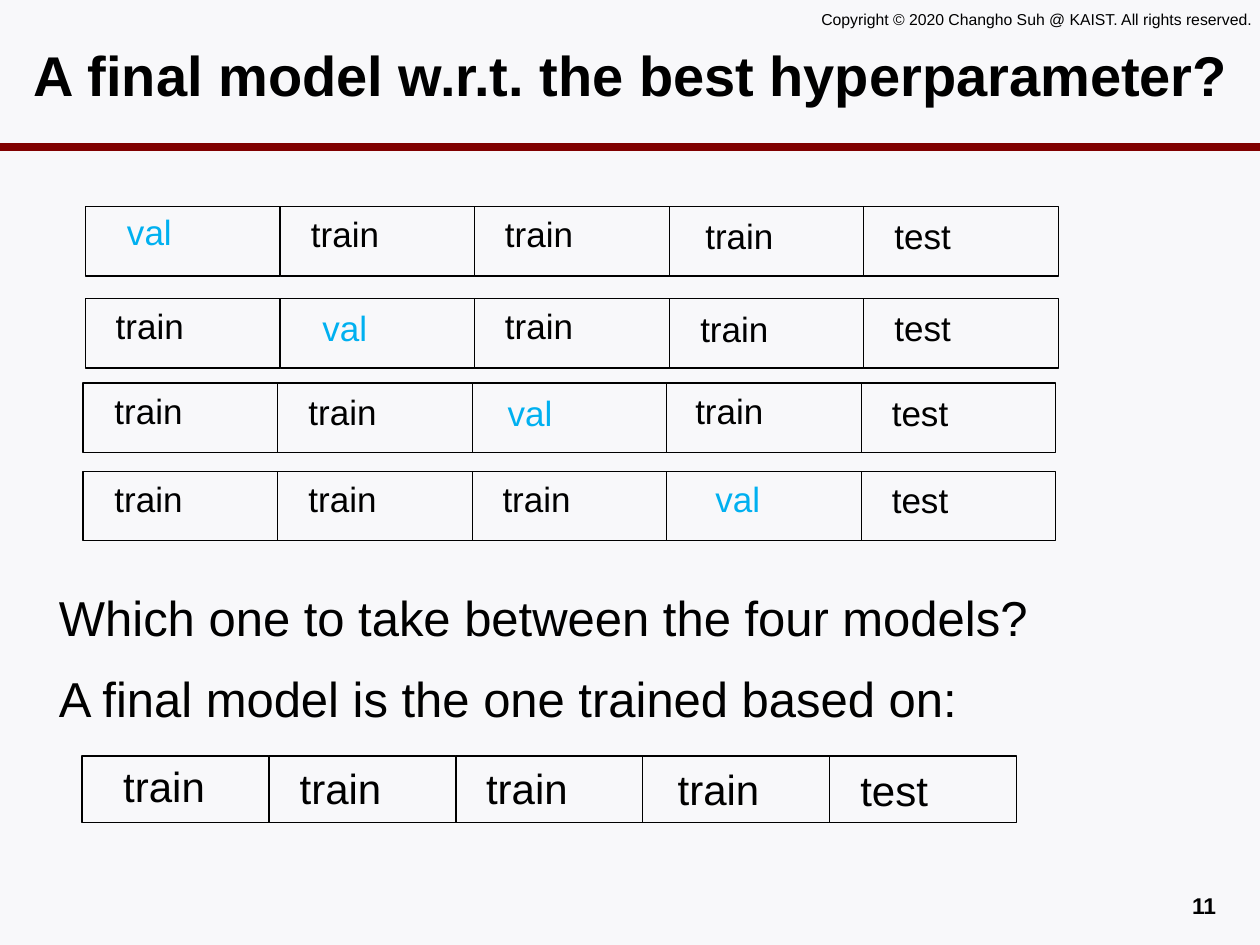
"""Build a slide on choosing the final model after cross-validation."""
from lxml import etree
from pptx import Presentation
from pptx.dml.color import RGBColor
from pptx.enum.shapes import MSO_CONNECTOR, MSO_SHAPE
from pptx.enum.text import MSO_ANCHOR, PP_ALIGN
from pptx.oxml.ns import qn
from pptx.util import Inches, Pt

STRAIGHT = MSO_CONNECTOR.STRAIGHT
RECTANGLE = MSO_SHAPE.RECTANGLE
TOP, MIDDLE = MSO_ANCHOR.TOP, MSO_ANCHOR.MIDDLE
LEFT, RIGHT = PP_ALIGN.LEFT, PP_ALIGN.RIGHT
BLACK, BLUE, MAROON, PALE = "000000", "00B0F0", "800000", "F8F8FA"


def color(value):
    return RGBColor.from_string(value)


def add_text(text, left, top, width, height, size=20, ink=BLACK, bold=False,
             align=LEFT, anchor=TOP, wrap=True):
    box = slide.shapes.add_textbox(Inches(left), Inches(top), Inches(width), Inches(height))
    frame = box.text_frame
    frame.word_wrap = wrap
    frame.vertical_anchor = anchor
    para = frame.paragraphs[0]
    para.alignment = align
    span = para.add_run()
    span.text = text
    span.font.name = "Arial"
    span.font.size = Pt(size)
    span.font.bold = bold
    span.font.color.rgb = color(ink)


deck = Presentation()
deck.slide_width, deck.slide_height = Inches(10), Inches(7.5)
slide = deck.slides.add_slide(deck.slide_layouts[6])
slide.background.fill.solid()
slide.background.fill.fore_color.rgb = color(PALE)

rule = slide.shapes.add_connector(STRAIGHT, Inches(0), Inches(1.17), Inches(10), Inches(1.17))
rule.line.color.rgb = color(MAROON)
rule.line.width = Pt(4.5)
etree.SubElement(rule._element.spPr, qn("a:effectLst"))

add_text("Copyright © 2020 Changho Suh @ KAIST. All rights reserved.",
         6.42, 0.03, 3.73, 0.25, size=9, wrap=False)
add_text("A final model w.r.t. the best hyperparameter?",
         0.17, 0.17, 10.03, 0.83, size=32, bold=True, anchor=MIDDLE)
add_text("Which one to take between the four models?", 0.37, 4.61, 8.53, 0.61, size=28)
add_text("A final model is the one trained based on:", 0.37, 5.26, 8.53, 0.61, size=28)
add_text("11", 7.42, 7.03, 2.33, 0.27, size=13, bold=True, align=RIGHT)

# left, top, cell width, cell height, text size, validation fold, label lefts, label drops
splits = [
    (0.68, 1.64, 1.544, 0.55, 20, 0, (0.91, 2.37, 3.91, 5.5, 7), (-0.02, 0, 0, 0.01, 0.01)),
    (0.68, 2.37, 1.544, 0.55, 20, 1, (0.82, 2.46, 3.91, 5.46, 7), (0, 0.01, 0, 0.02, 0.01)),
    (0.66, 3.04, 1.544, 0.55, 20, 2, (0.81, 2.35, 3.93, 5.42, 6.98), (0, 0.01, 0.02, 0, 0.02)),
    (0.66, 3.74, 1.544, 0.55, 20, 3, (0.81, 2.35, 3.89, 5.58, 6.98), (0, 0, 0, 0, 0.01)),
    (0.65, 6, 1.484, 0.53, 24, None, (0.88, 2.28, 3.76, 5.28, 6.73), (-0.01, 0, 0, 0.01, 0.02)),
]
for left, top, width, height, size, fold, label_lefts, drops in splits:
    for column, (label_left, drop) in enumerate(zip(label_lefts, drops)):
        cell = slide.shapes.add_shape(RECTANGLE, Inches(left + column * width), Inches(top),
                                      Inches(width), Inches(height))
        cell.shadow.inherit = False
        cell.fill.background()
        cell.line.color.rgb = color(BLACK)
        cell.line.width = Pt(0.75)
        label = "val" if column == fold else "test" if column == 4 else "train"
        add_text(label, label_left, top + drop, 1.4, height, size=size,
                 ink=BLUE if column == fold else BLACK)

deck.save("out.pptx")
